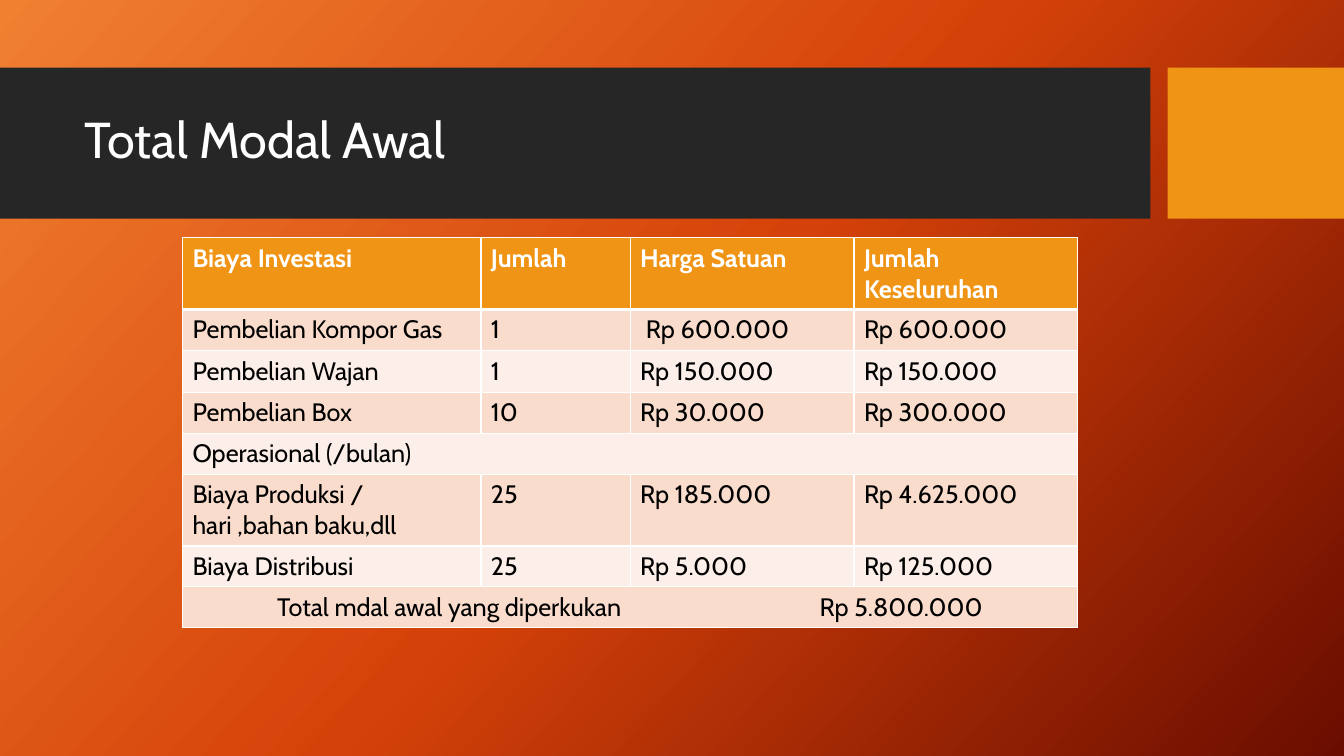
from copy import deepcopy
from dataclasses import dataclass

from lxml.etree import SubElement as Sub
from pptx import Presentation
from pptx.dml.color import RGBColor as Rgb
from pptx.enum.shapes import MSO_SHAPE as Form
from pptx.enum.text import MSO_ANCHOR as Anchor, PP_ALIGN as Align
from pptx.oxml.ns import qn
from pptx.util import Inches, Pt

HUES = {
    "dark": "262626", "gold": "F09415", "white": "FFFFFF", "black": "000000",
    "peach": "F9DCCC", "cream": "FCEEE8",
    "glow": "F18031", "flame": "D54209", "ember": "6A0D00",
}
FONT = "Cabin"
COLS = [2.96, 1.48, 2.22, 2.22]
TALL, SHORT = 0.41, 0.38


@dataclass
class Bar:
    left: float
    width: float
    hue: str


@dataclass
class Row:
    texts: list[str]
    high: float = TALL


BARS = [Bar(0, 11.41, "dark"), Bar(11.58, 1.75, "gold")]
ROWS = [
    Row(["Biaya Investasi", "Jumlah", "Harga Satuan", "Jumlah Keseluruhan"]),
    Row(["Pembelian Kompor Gas", "1", " Rp 600.000", "Rp 600.000"]),
    Row(["Pembelian Wajan", "1", "Rp 150.000", "Rp 150.000"]),
    Row(["Pembelian Box", "10", "Rp 30.000", "Rp 300.000"]),
    Row(["Operasional (/bulan)"], SHORT),
    Row(["Biaya Produksi / hari ,bahan baku,dll", "25", "Rp 185.000", "Rp 4.625.000"], SHORT),
    Row(["Biaya Distribusi", "25", "Rp 5.000", "Rp 125.000"], SHORT),
    Row(["Total mdal awal yang diperkukan\tRp 5.800.000"], SHORT),
]


def tint(name: str) -> Rgb:
    return Rgb.from_string(HUES[name])


def write(para, text: str, size: float, hue: str, bold: bool = False) -> None:
    run = para.add_run()
    run.text = text
    run.font.name = FONT
    run.font.size = Pt(size)
    run.font.bold = bold
    run.font.color.rgb = tint(hue)


def shade(slide) -> None:
    fill = slide.background.fill
    fill.gradient()
    fill.gradient_angle = 360 - 42
    stops = slide.element.find(".//" + qn("a:gsLst"))
    stops.append(deepcopy(stops[0]))
    for num, (stop, hue) in enumerate(zip(fill.gradient_stops, ["glow", "flame", "ember"])):
        stop.position = num / 2
        stop.color.rgb = tint(hue)


def draw_bar(slide, bar: Bar) -> None:
    box = slide.shapes.add_shape(
        Form.RECTANGLE, Inches(bar.left), Inches(0.67), Inches(bar.width), Inches(1.5))
    box.shadow.inherit = False
    box.fill.solid()
    box.fill.fore_color.rgb = tint(bar.hue)
    box.line.fill.background()


def set_title(slide) -> None:
    title = slide.shapes.title
    title.left, title.top = Inches(0.74), Inches(0.82)
    title.width, title.height = Inches(10.51), Inches(1.18)
    slide.shapes.element.append(title.element)
    frame = title.text_frame
    frame.word_wrap = True
    frame.vertical_anchor = Anchor.MIDDLE
    para = frame.paragraphs[0]
    para.alignment = Align.LEFT
    para.line_spacing = 0.9
    write(para, "Total Modal Awal", 36, "white")


def edge(cell, top: float, base: float) -> None:
    props = cell._tc.get_or_add_tcPr()
    sides = {"a:lnL": 1, "a:lnR": 1, "a:lnT": top, "a:lnB": base}
    for spot, (tag, wide) in enumerate(sides.items()):
        line = Sub(props, qn(tag), w=str(Pt(wide)))
        Sub(Sub(line, qn("a:solidFill")), qn("a:srgbClr"), val=HUES["white"])
        props.insert(spot, line)


def add_tab(para, place: float) -> None:
    tabs = Sub(para._p.get_or_add_pPr(), qn("a:tabLst"))
    Sub(tabs, qn("a:tab"), pos=str(Inches(place)), algn="l")


def fill_row(table, num: int, row: Row) -> None:
    head = num == 0
    table.rows[num].height = Inches(row.high)
    if len(row.texts) == 1:
        table.cell(num, 0).merge(table.cell(num, len(COLS) - 1))
    for col, text in enumerate(row.texts):
        cell = table.cell(num, col)
        cell.fill.solid()
        cell.fill.fore_color.rgb = tint("gold" if head else "peach" if num % 2 else "cream")
        para = cell.text_frame.paragraphs[0]
        if "\t" in text:
            cell.margin_left = Inches(0.94)
            add_tab(para, 5.38)
        write(para, text, 18, "white" if head else "black", head)
        edge(cell, 3 if num == 1 else 1, 3 if head else 1)


def draw_table(slide) -> None:
    high = sum(row.high for row in ROWS)
    table = slide.shapes.add_table(
        len(ROWS), len(COLS), Inches(1.81), Inches(2.36),
        Inches(sum(COLS)), Inches(high)).table
    for col, wide in zip(table.columns, COLS):
        col.width = Inches(wide)
    for num, row in enumerate(ROWS):
        fill_row(table, num, row)


def main() -> None:
    deck = Presentation()
    deck.slide_width, deck.slide_height = Inches(13.33), Inches(7.5)
    slide = deck.slides.add_slide(deck.slide_layouts[5])
    shade(slide)
    for bar in BARS:
        draw_bar(slide, bar)
    set_title(slide)
    draw_table(slide)
    deck.save("out.pptx")


if __name__ == "__main__":
    main()
